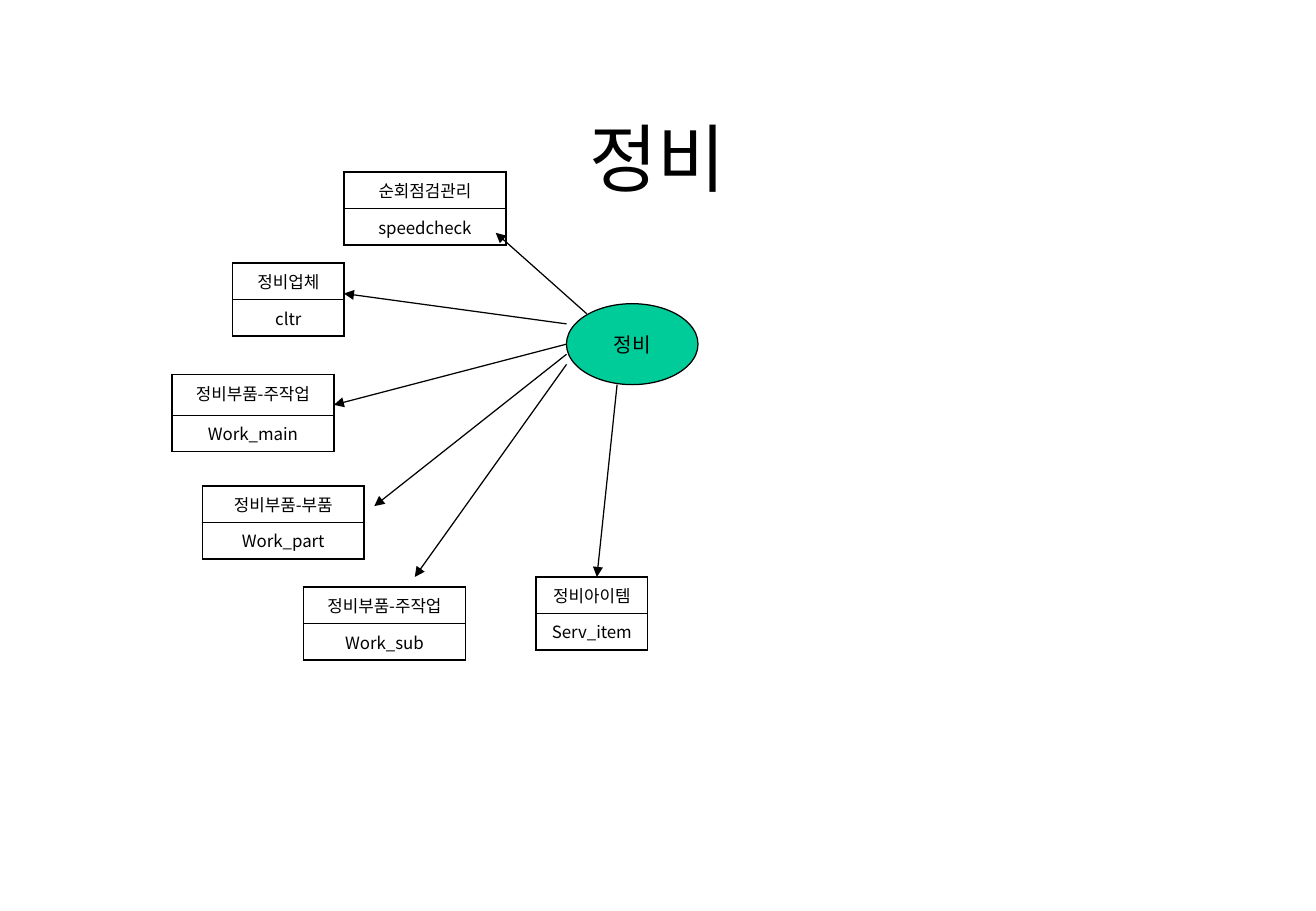
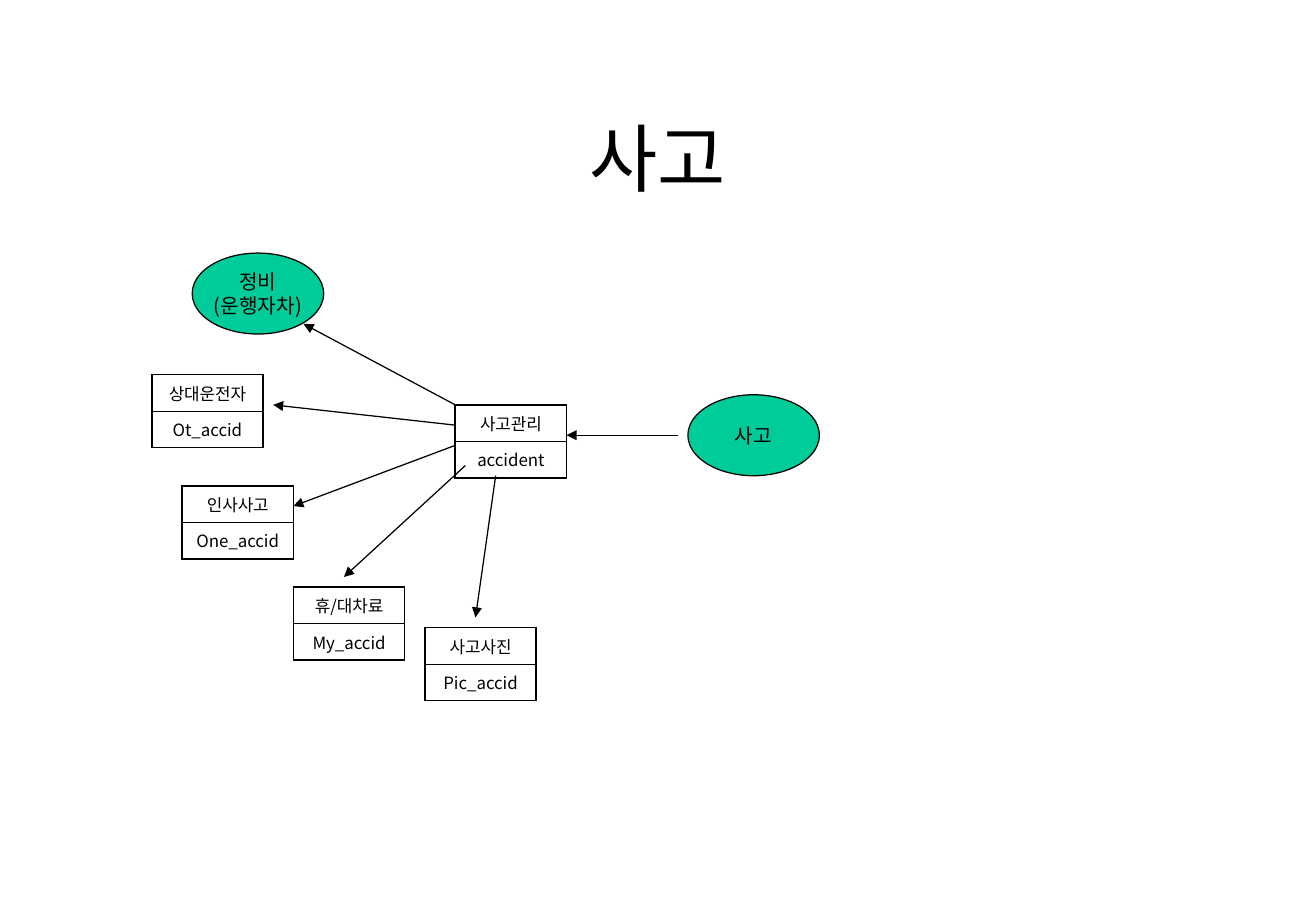
from dataclasses import dataclass

from pptx import Presentation
from pptx.dml.color import RGBColor
from pptx.enum.shapes import MSO_CONNECTOR, MSO_SHAPE
from pptx.enum.text import MSO_ANCHOR, PP_ALIGN
from pptx.oxml import parse_xml
from pptx.oxml.ns import nsdecls
from pptx.util import Inches, Pt


@dataclass(frozen=True)
class Theme:
    font: str = "Noto Sans CJK KR"
    ink: str = "000000"
    accent: str = "00CC99"
    title_size: float = 44
    oval_size: float = 12
    cell_size: float = 10
    cell_space: float = 2.5
    line: float = 0.75
    outer_border: float = 1.08
    inner_border: float = 0.45


THEME = Theme()
SLIDE_WIDTH = Inches(10.84)
SLIDE_HEIGHT = Inches(7.5)
TITLE_SHARE = 0.85
UNITS_PER_INCH = 12
NARROW, WIDE = 11, 16
ROW, TALL_ROW = 3.2, 4
OVAL_WIDTH, OVAL_HEIGHT = 13, 8


def grid(*units):
    return [Inches(unit / UNITS_PER_INCH) for unit in units]


def ink():
    return RGBColor.from_string(THEME.ink)


def style_text(text_frame, size, space_before=0):
    for paragraph in text_frame.paragraphs:
        paragraph.alignment = PP_ALIGN.CENTER
        paragraph.space_before = Pt(space_before)
        for run in paragraph.runs:
            run.font.size = Pt(size)
            run.font.name = THEME.font
            run.font.color.rgb = ink()
            run.font._element.append(
                parse_xml(f'<a:ea {nsdecls("a")} typeface="{THEME.font}"/>'))


def add_title(slide, text):
    width = int(SLIDE_WIDTH * TITLE_SHARE)
    top, height = grid(8, 15)
    box = slide.shapes.add_textbox((SLIDE_WIDTH - width) // 2, top, width, height)
    text_frame = box.text_frame
    text_frame.word_wrap = True
    text_frame.vertical_anchor = MSO_ANCHOR.MIDDLE
    text_frame.text = text
    style_text(text_frame, THEME.title_size)


def set_borders(cell, top, bottom):
    widths = {"L": THEME.outer_border, "R": THEME.outer_border, "T": top, "B": bottom}
    properties = cell._tc.get_or_add_tcPr()
    for index, (side, width) in enumerate(widths.items()):
        properties.insert(index, parse_xml(
            f'<a:ln{side} {nsdecls("a")} w="{Pt(width)}"><a:solidFill>'
            f'<a:srgbClr val="{THEME.ink}"/></a:solidFill></a:ln{side}>'))


def add_entity(slide, column, row, label, table_name, width=NARROW, label_height=ROW):
    frame = slide.shapes.add_table(2, 1, *grid(column, row, width, label_height + ROW))
    table = frame.table
    table.first_row = False
    table.horz_banding = False
    outer, inner = THEME.outer_border, THEME.inner_border
    rows = [(label, label_height, outer, inner), (table_name, ROW, inner, outer)]
    for index, (text, height, top, bottom) in enumerate(rows):
        table.rows[index].height = grid(height)[0]
        cell = table.cell(index, 0)
        cell.fill.background()
        set_borders(cell, top, bottom)
        cell.text_frame.text = text
        style_text(cell.text_frame, THEME.cell_size, THEME.cell_space)


def add_oval(slide, column, row, text):
    oval = slide.shapes.add_shape(
        MSO_SHAPE.OVAL, *grid(column, row, OVAL_WIDTH, OVAL_HEIGHT))
    oval.shadow.inherit = False
    oval.fill.solid()
    oval.fill.fore_color.rgb = RGBColor.from_string(THEME.accent)
    oval.line.color.rgb = ink()
    oval.line.width = Pt(THEME.line)
    text_frame = oval.text_frame
    text_frame.word_wrap = False
    text_frame.vertical_anchor = MSO_ANCHOR.MIDDLE
    text_frame.text = text
    style_text(text_frame, THEME.oval_size)


def add_arrow(slide, *ends):
    arrow = slide.shapes.add_connector(MSO_CONNECTOR.STRAIGHT, *grid(*ends))
    arrow.line.color.rgb = ink()
    arrow.line.width = Pt(THEME.line)
    arrow.line._get_or_add_ln().append(
        parse_xml(f'<a:tailEnd {nsdecls("a")} type="triangle"/>'))
    arrow._element.spPr.append(parse_xml(f'<a:effectLst {nsdecls("a")}/>'))


def add_diagram(presentation, title, entities, ovals, arrows):
    slide = presentation.slides.add_slide(presentation.slide_layouts[6])
    for entity in entities:
        add_entity(slide, *entity)
    add_title(slide, title)
    for oval in ovals:
        add_oval(slide, *oval)
    for arrow in arrows:
        add_arrow(slide, *arrow)


def main():
    presentation = Presentation()
    presentation.slide_width = SLIDE_WIDTH
    presentation.slide_height = SLIDE_HEIGHT
    add_diagram(
        presentation,
        "정비",
        entities=[
            (34, 17, "순회점검관리", "speedcheck", WIDE),
            (23, 26, "정비업체", "cltr"),
            (17, 37, "정비부품-주작업", "Work_main", WIDE, TALL_ROW),
            (20, 48, "정비부품-부품", "Work_part", WIDE),
            (30, 58, "정비부품-주작업", "Work_sub", WIDE),
            (53, 57, "정비아이템", "Serv_item"),
        ],
        ovals=[(56, 30, "정비")],
        arrows=[
            (58, 31, 49, 23),
            (56, 32, 34, 29),
            (56, 34, 33, 40),
            (56, 35, 37, 50),
            (56, 36, 41, 57),
            (61, 38, 59, 57),
        ],
    )
    add_diagram(
        presentation,
        "사고",
        entities=[
            (45, 40, "사고관리", "accident"),
            (15, 37, "상대운전자", "Ot_accid"),
            (18, 48, "인사사고", "One_accid"),
            (29, 58, "휴/대차료", "My_accid"),
            (42, 62, "사고사진", "Pic_accid"),
        ],
        ovals=[(19, 25, "정비\n(운행자차)"), (68, 39, "사고")],
        arrows=[
            (45, 40, 30, 32),
            (45, 42, 27, 40),
            (45, 44, 29, 50),
            (46, 46, 34, 57),
            (49, 47, 47, 61),
            (67, 43, 56, 43),
        ],
    )
    presentation.save("out.pptx")


if __name__ == "__main__":
    main()
